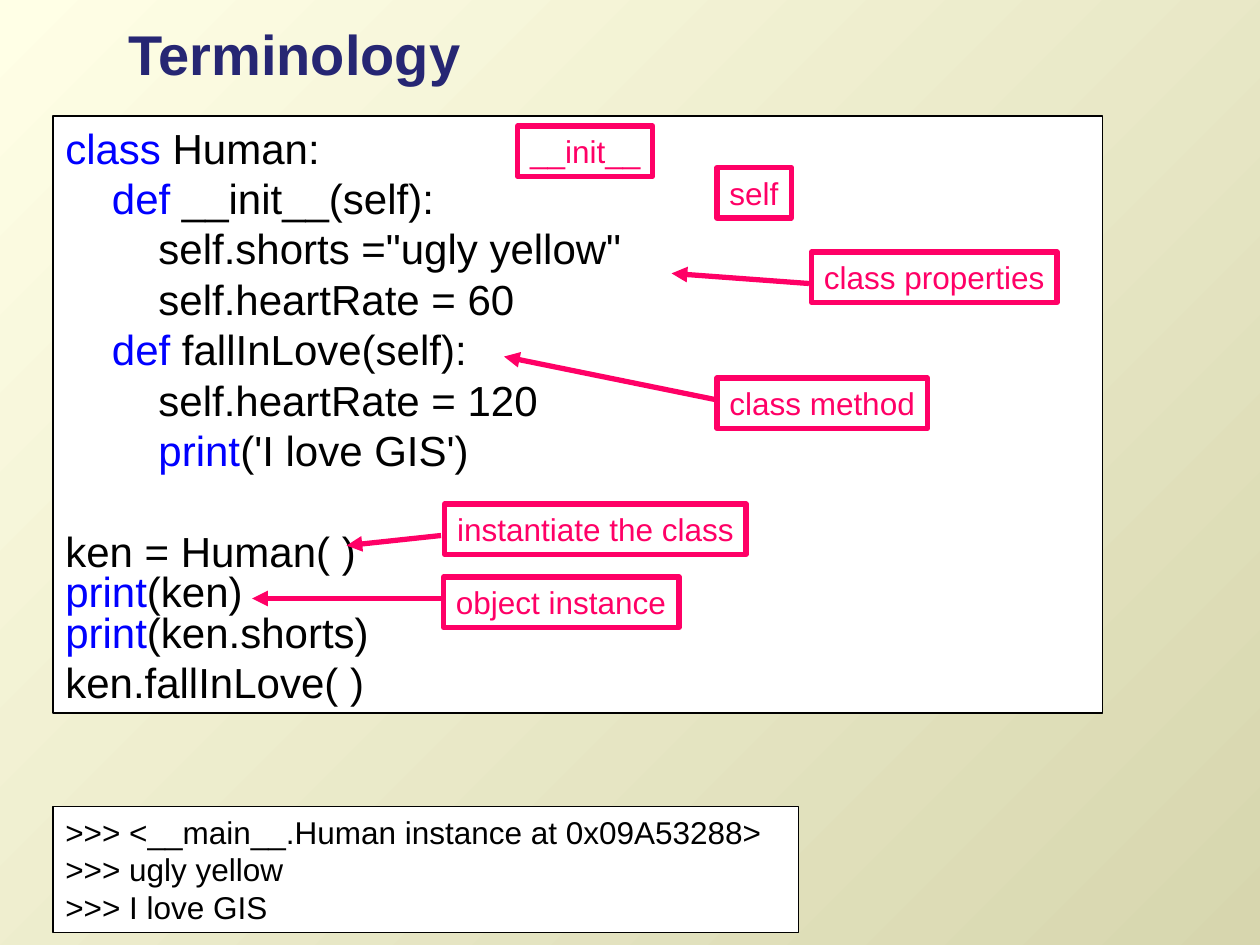
from lxml import etree
from pptx import Presentation
from pptx import util as u
from pptx.dml.color import RGBColor
from pptx.enum import shapes, text
from pptx.oxml.ns import qn

COLORS = {
    "paper": "FFFFE6", "sand": "D7D6AE", "title": "262673", "white": "FFFFFF",
    "code": "000000", "keyword": "0000FF", "callout": "FF0066",
}
FRAME = {
    "margin_left": u.Inches(0.1), "margin_right": u.Inches(0.1),
    "margin_top": u.Inches(0.05), "margin_bottom": u.Inches(0.05),
    "word_wrap": True, "auto_size": text.MSO_AUTO_SIZE.NONE,
}
# A narrow right margin keeps each callout on one line
CALLOUT_FRAME = FRAME | {"margin_right": u.Inches(0.04)}

# Each code line is a list of (text, colour) runs
CODE = [
    [("class ", "keyword"), ("Human:", "code")],
    [("    ", "code"), ("def", "keyword"), (" __init__(self):", "code")],
    [('        self.shorts ="ugly yellow"', "code")],
    [("        self.heartRate = 60", "code")],
    [("    ", "code"), ("def", "keyword"), (" fallInLove(self):", "code")],
    [("        self.heartRate = 120", "code")],
    [("        print", "keyword"), ("('I love GIS')", "code")],
    [("ken = Human( )", "code")],
    [("print", "keyword"), ("(ken)", "code")],
    [("print", "keyword"), ("(ken.shorts)", "code")],
    [("ken.fallInLove( )", "code")],
]
OUTPUT = [
    [(">>> <__main__.Human instance at 0x09A53288>", "code")],
    [(">>> ugly yellow", "code")],
    [(">>> I love GIS", "code")],
]

# Callout text, left, top, width
CALLOUTS = [
    ("__init__", 4.11, 1, 1.07),
    ("self", 5.69, 1.33, 0.59),
    ("class properties", 6.44, 2, 1.95),
    ("class method", 5.69, 3, 1.67),
    ("instantiate the class", 3.53, 4, 2.39),
    ("object instance", 3.52, 4.58, 1.87),
]
CALLOUT_HEIGHT = 0.4

# Arrow start x, y and end x, y
ARROWS = [
    (6.42, 2.25, 5.33, 2.17),
    (5.67, 3.17, 4, 2.83),
    (3.5, 4.25, 2.75, 4.33),
    (3.5, 4.75, 2, 4.75),
]


def rgb(name):
    return RGBColor.from_string(COLORS[name])


def apply(target, values):
    for name, value in values.items():
        setattr(target, name, value)


def style_font(font, size, color, bold=False):
    apply(font, {"name": "Arial", "size": u.Pt(size), "bold": bold})
    font.color.rgb = rgb(color)


def paint_background(slide):
    fill = slide.background.fill
    fill.gradient()
    fill.gradient_angle = 315
    for stop, position, color in zip(fill.gradient_stops, (0, 1), ("paper", "sand")):
        stop.position = position
        stop.color.rgb = rgb(color)


def set_title(slide, wording):
    title = slide.shapes.title
    apply(title, {"left": u.Inches(0.92), "top": u.Inches(0.17),
                  "width": u.Inches(9.67), "height": u.Inches(0.5)})
    apply(title.text_frame, FRAME | {"vertical_anchor": text.MSO_ANCHOR.MIDDLE})
    heading = title.text_frame.paragraphs[0]
    heading.alignment = text.PP_ALIGN.LEFT
    run = heading.add_run()
    run.text = wording
    style_font(run.font, 32, "title", bold=True)


def add_box(slide, at, lines, size, line_color, line_width, fill=None, layout=FRAME):
    """Add an outlined rectangle and return the paragraphs of its text."""
    box = slide.shapes.add_shape(shapes.MSO_SHAPE.RECTANGLE, *map(u.Inches, at))
    box.shadow.inherit = False
    if fill:
        box.fill.solid()
        box.fill.fore_color.rgb = rgb(fill)
    else:
        box.fill.background()
    box.line.color.rgb = rgb(line_color)
    box.line.width = u.Pt(line_width)
    frame = box.text_frame
    apply(frame, layout | {"vertical_anchor": text.MSO_ANCHOR.TOP})
    for number, runs in enumerate(lines):
        paragraph = frame.add_paragraph() if number else frame.paragraphs[0]
        paragraph.alignment = text.PP_ALIGN.LEFT
        for wording, color in runs:
            run = paragraph.add_run()
            run.text = wording
            style_font(run.font, size, color)
    return frame.paragraphs


def add_arrow(slide, ends):
    arrow = slide.shapes.add_connector(shapes.MSO_CONNECTOR.STRAIGHT, *map(u.Inches, ends))
    arrow.line.color.rgb = rgb("callout")
    arrow.line.width = u.Pt(3)
    etree.SubElement(arrow.line._get_or_add_ln(), qn("a:tailEnd"), type="triangle")
    etree.SubElement(arrow._element.spPr, qn("a:effectLst"))


def main():
    prs = Presentation()
    apply(prs, {"slide_width": u.Inches(10), "slide_height": u.Inches(7.5)})
    slide = prs.slides.add_slide(prs.slide_layouts[5])
    paint_background(slide)
    set_title(slide, "Terminology")

    # Program output and source code
    add_box(slide, (0.42, 6.4, 5.92, 1), OUTPUT, 18, "code", 0.75, fill="white")
    code = add_box(slide, (0.42, 0.92, 8.33, 4.74), CODE, 24, "code", 0.75, fill="white")
    code[7].space_before = u.Pt(28.8)
    for tight_line in code[8:10]:
        tight_line.line_spacing = 0.8

    # Callouts and their arrows
    for wording, left, top, width in CALLOUTS:
        add_box(slide, (left, top, width, CALLOUT_HEIGHT), [[(wording, "callout")]],
                18, "callout", 3, layout=CALLOUT_FRAME)
    for ends in ARROWS:
        add_arrow(slide, ends)

    prs.save("out.pptx")


if __name__ == "__main__":
    main()
